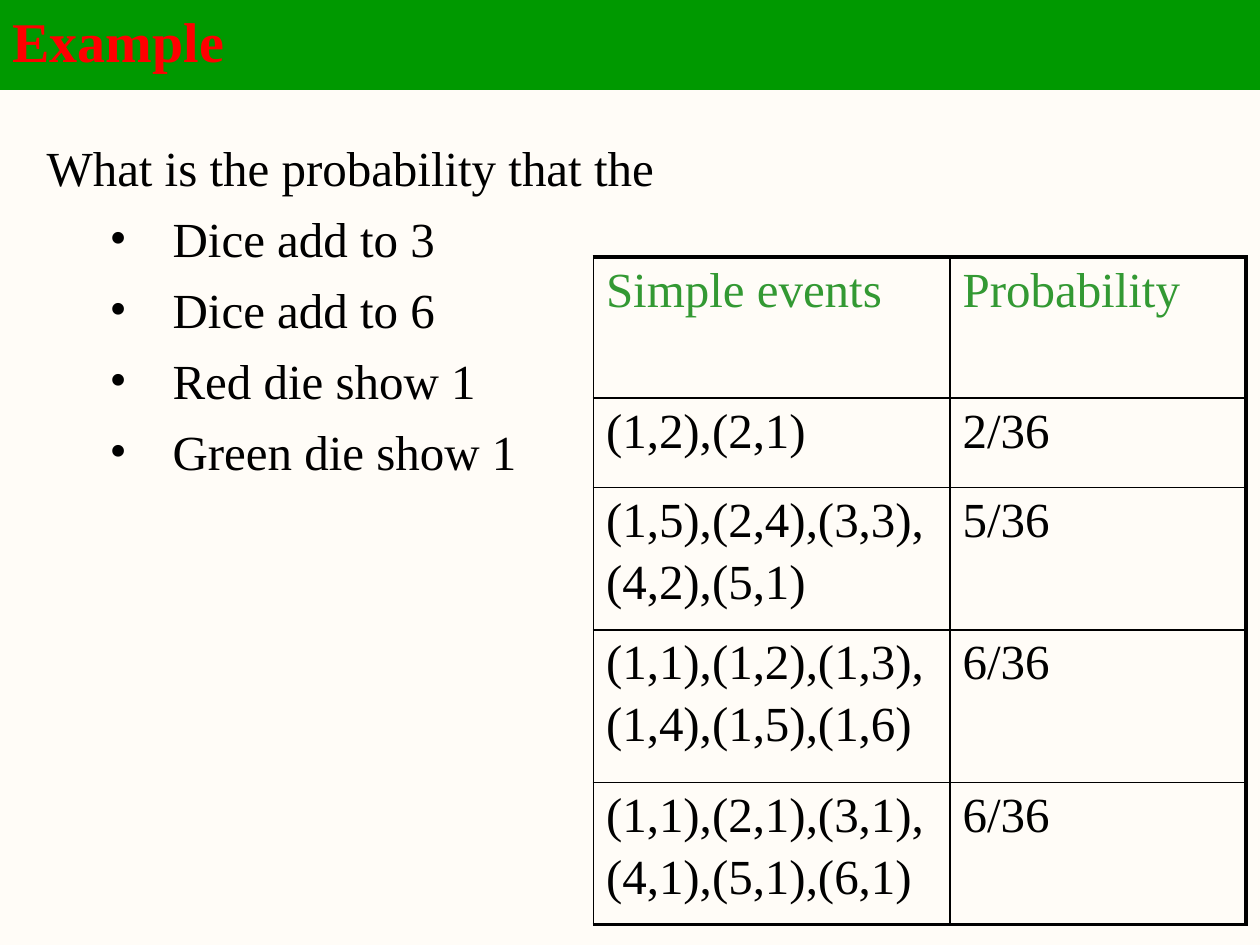
from lxml.etree import SubElement
from pptx import Presentation
from pptx.dml.color import RGBColor
from pptx.enum.text import MSO_ANCHOR, MSO_AUTO_SIZE, PP_ALIGN
from pptx.oxml.ns import qn
from pptx.util import Inches, Pt

TITLE = "Example"
QUESTION = "What is the probability that the"
OUTCOMES = ["Dice add to 3", "Dice add to 6", "Red die show 1", "Green die show 1"]
HEADER = ("Simple events", "Probability")
EVENTS = [
    ("(1,2),(2,1)", "2/36"),
    ("(1,5),(2,4),(3,3),\n(4,2),(5,1)", "5/36"),
    ("(1,1),(1,2),(1,3),\n(1,4),(1,5),(1,6)", "6/36"),
    ("(1,1),(2,1),(3,1),\n(4,1),(5,1),(6,1)", "6/36"),
]
COLUMN_WIDTHS = [2.83, 2.35]
ROW_HEIGHTS = [1.12, 0.71, 1.13, 1.21, 1.13]

BACKGROUND, GREEN, RED = "FFFCF7", "009900", "FF0000"
BLACK, HEADER_GREEN = "000000", "339933"
FONT = "Times New Roman"
THIN, THICK = 1, 2.25


def color(hex_value):
    return RGBColor.from_string(hex_value)


def place(shape, left, top, width, height):
    shape.left, shape.top = Inches(left), Inches(top)
    shape.width, shape.height = Inches(width), Inches(height)


def format_font(paragraph, size, hex_value, bold=False):
    font = paragraph.font
    font.name, font.size, font.bold = FONT, Pt(size), bold
    font.color.rgb = color(hex_value)


def set_bullet(paragraph, character=None, margin=0, indent=0):
    properties = paragraph._p.get_or_add_pPr()
    properties.set("marL", str(Inches(margin)))
    properties.set("indent", str(Inches(indent)))
    if character:
        SubElement(properties, qn("a:buFont"), typeface=FONT)
        SubElement(properties, qn("a:buChar"), char=character)
    else:
        SubElement(properties, qn("a:buNone"))


def set_borders(cell, widths):
    """Draw black borders; widths maps the side tags to points."""
    properties = cell._tc.get_or_add_tcPr()
    for side, width in widths.items():
        line = SubElement(properties, qn(f"a:{side}"), w=str(Pt(width)))
        fill = SubElement(line, qn("a:solidFill"))
        SubElement(fill, qn("a:srgbClr"), val=BLACK)


def add_title(slide):
    title = slide.shapes.title
    place(title, 0, 0, 10, 0.71)
    title.fill.solid()
    title.fill.fore_color.rgb = color(GREEN)
    title.line.color.rgb = color(GREEN)
    title.line.width = Pt(0.75)
    frame = title.text_frame
    frame.text = TITLE
    frame.auto_size = MSO_AUTO_SIZE.NONE
    frame.vertical_anchor = MSO_ANCHOR.MIDDLE
    paragraph = frame.paragraphs[0]
    paragraph.alignment = PP_ALIGN.LEFT
    paragraph.line_spacing = 0.9
    format_font(paragraph, 32, RED, bold=True)


def add_question(slide):
    body = slide.placeholders[1]
    place(body, 0.27, 1.04, 5.07, 2.83)
    frame = body.text_frame
    frame.text = "\n".join([QUESTION, *OUTCOMES])
    frame.auto_size = MSO_AUTO_SIZE.NONE
    frame.word_wrap = True
    for index, paragraph in enumerate(frame.paragraphs):
        if index:
            paragraph.level = 1
            set_bullet(paragraph, "•", 1, -0.5)
        else:
            set_bullet(paragraph)
        paragraph.space_before = Pt(7 if index else 0)
        format_font(paragraph, 28, BLACK)


def add_events_table(slide):
    rows = [HEADER, *EVENTS]
    table = slide.shapes.add_table(
        len(rows), len(HEADER), Inches(4.71), Inches(2.04),
        Inches(sum(COLUMN_WIDTHS)), Inches(sum(ROW_HEIGHTS))).table
    table.first_row = table.horz_banding = False
    for column, width in zip(table.columns, COLUMN_WIDTHS):
        column.width = Inches(width)
    for row, height in zip(table.rows, ROW_HEIGHTS):
        row.height = Inches(height)

    last_row, last_column = len(rows) - 1, len(HEADER) - 1
    for r, texts in enumerate(rows):
        for c, text in enumerate(texts):
            cell = table.cell(r, c)
            cell.text = text
            set_borders(cell, {
                "lnL": THIN,
                "lnR": THICK if c == last_column else THIN,
                "lnT": THICK if r == 0 else THIN,
                "lnB": THICK if r == last_row else THIN,
            })
            cell.fill.background()
            for index, paragraph in enumerate(cell.text_frame.paragraphs):
                paragraph.space_before = Pt(4.4 if index else 0)
                format_font(paragraph, 28, BLACK if r else HEADER_GREEN)


def main():
    presentation = Presentation()
    presentation.slide_width, presentation.slide_height = Inches(10), Inches(7.5)
    slide = presentation.slides.add_slide(presentation.slide_layouts[1])
    slide.background.fill.solid()
    slide.background.fill.fore_color.rgb = color(BACKGROUND)
    add_title(slide)
    add_question(slide)
    add_events_table(slide)
    presentation.save("out.pptx")


if __name__ == "__main__":
    main()
